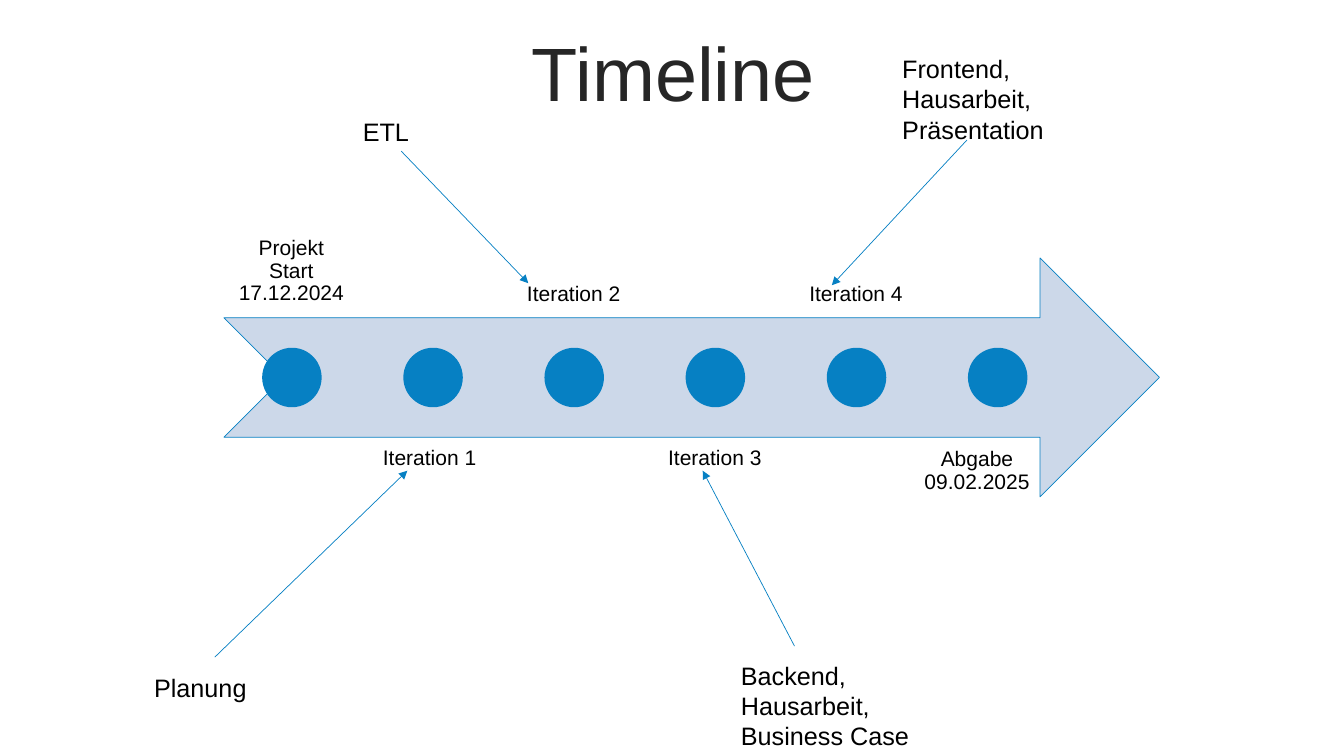
from lxml import etree
from pptx import Presentation
from pptx.dml.color import RGBColor
from pptx.enum.shapes import MSO_CONNECTOR, MSO_SHAPE
from pptx.enum.text import MSO_ANCHOR, PP_ALIGN
from pptx.oxml.ns import qn
from pptx.util import Pt

EMU_PER_PX = 9144
STRAIGHT = MSO_CONNECTOR.STRAIGHT
ARROW, DOT = MSO_SHAPE.NOTCHED_RIGHT_ARROW, MSO_SHAPE.OVAL
TOP, MIDDLE, BOTTOM = MSO_ANCHOR.TOP, MSO_ANCHOR.MIDDLE, MSO_ANCHOR.BOTTOM
LEFT, CENTER = PP_ALIGN.LEFT, PP_ALIGN.CENTER
BLUE, PALE, BLACK, DARK = "0680C3", "CCD8E9", "000000", "262626"

MILESTONES = ["Projekt Start 17.12.2024", "Iteration 1 ", "Iteration 2",
              "Iteration 3", "Iteration 4", "Abgabe 09.02.2025"]
NOTES = [
    ((143, 662, 180, 40), "Planung", (213, 652), (404, 467)),
    ((350, 110, 180, 40), "ETL", (398, 150), (524, 281)),
    ((725, 650, 195, 100), "Backend, Hausarbeit,\nBusiness Case",
     (788, 641), (697, 467)),
    ((885, 48, 195, 101), "Frontend,\nHausarbeit,\nPräsentation",
     (959, 139), (825, 283)),
]


def px(n):
    return n * EMU_PER_PX


def rgb(color):
    return RGBColor.from_string(color)


def add_text(slide, box, text, size, color=BLACK, align=LEFT, anchor=TOP,
             spacing=1.0, before=0, inset=None):
    tf = slide.shapes.add_textbox(*map(px, box)).text_frame
    tf.word_wrap = True
    tf.vertical_anchor = anchor
    if inset is not None:
        tf.margin_left = tf.margin_right = px(inset)
        tf.margin_top = tf.margin_bottom = px(inset)
    tf.text = text
    for p in tf.paragraphs:
        p.alignment = align
        p.line_spacing = spacing
        p.space_before = Pt(before)
        for r in p.runs:
            r.font.name = "Arial"
            r.font.size = Pt(size)
            r.font.color.rgb = rgb(color)


def add_shape(slide, kind, box, fill, line=None):
    sp = slide.shapes.add_shape(kind, *map(px, box))
    sp.shadow.inherit = False
    sp.fill.solid()
    sp.fill.fore_color.rgb = rgb(fill)
    if line:
        sp.line.color.rgb = rgb(line)
        sp.line.width = Pt(0.5)
    else:
        sp.line.fill.background()


def add_pointer(slide, start, end):
    cxn = slide.shapes.add_connector(STRAIGHT, *map(px, start + end))
    cxn.line.color.rgb = rgb(BLUE)
    cxn.line.width = Pt(0.5)
    etree.SubElement(cxn.line._get_or_add_ln(), qn("a:tailEnd"), type="triangle")
    etree.SubElement(cxn._element.spPr, qn("a:effectLst"))


def add_title(slide, box):
    add_text(slide, box, "Timeline", 54, DARK, CENTER, MIDDLE, 0.9, 10)


def add_timeline(slide, box):
    x, y, w, h = box
    label_w, dot, pitch = 134, 59, 140
    add_shape(slide, ARROW, box, PALE, BLUE)
    last = len(MILESTONES) - 1
    for i, label in enumerate(MILESTONES):
        left = x + i * pitch
        label_left = left - 20 if i == last else left
        above = i % 2 == 0
        label_top = y + h * 3 // 4 - (355 if above else 0)
        add_text(slide, (label_left, label_top, label_w, h), label, 15,
                 align=CENTER, anchor=BOTTOM if above else TOP,
                 spacing=0.9, inset=12)
        add_shape(slide, DOT, (left + (label_w - dot) // 2 + 1,
                               y + (h - dot) // 2, dot, dot), BLUE)


def add_note(slide, box, text, start, end):
    add_pointer(slide, start, end)
    add_text(slide, box, text, 18)


def main():
    prs = Presentation()
    prs.slide_width, prs.slide_height = px(1333), px(750)
    slide = prs.slides.add_slide(prs.slide_layouts[6])
    add_title(slide, (35, 37, 1266, 79))
    add_timeline(slide, (222, 256, 928, 237))
    for note in NOTES:
        add_note(slide, *note)
    prs.save("out.pptx")


if __name__ == "__main__":
    main()
